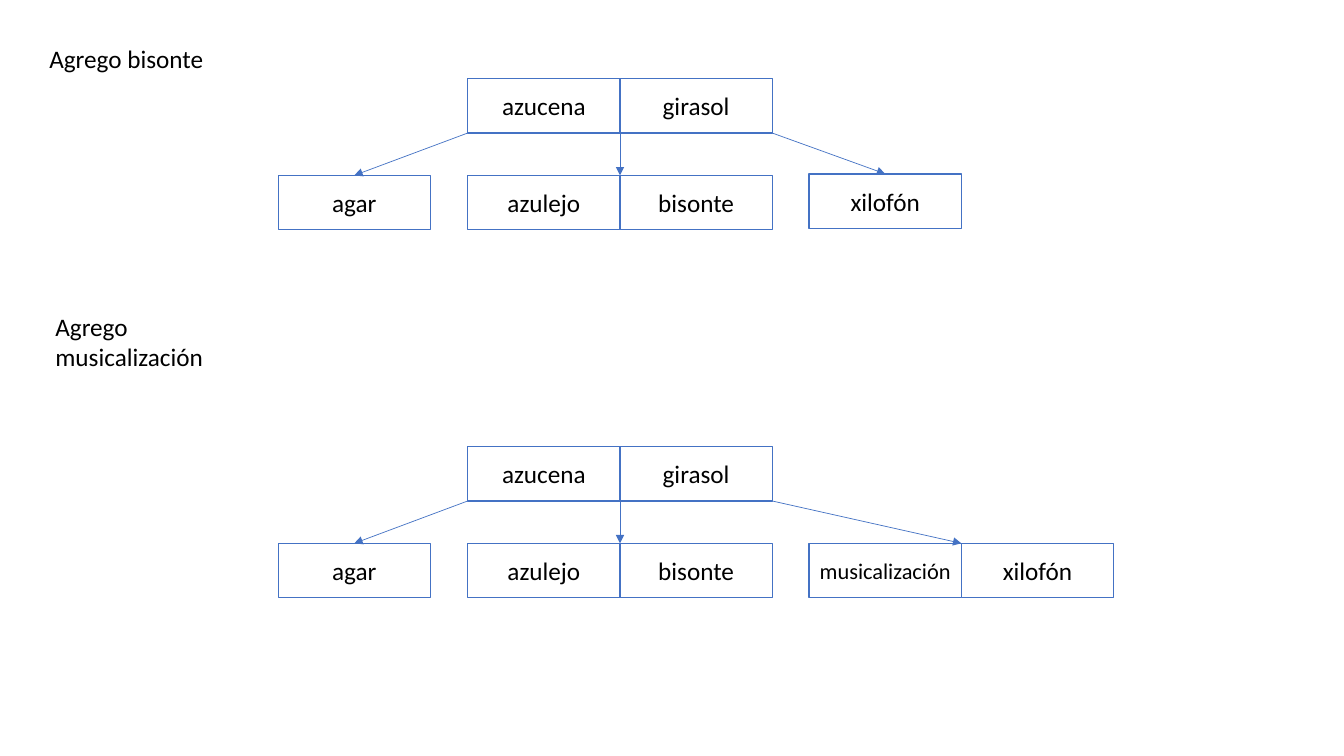
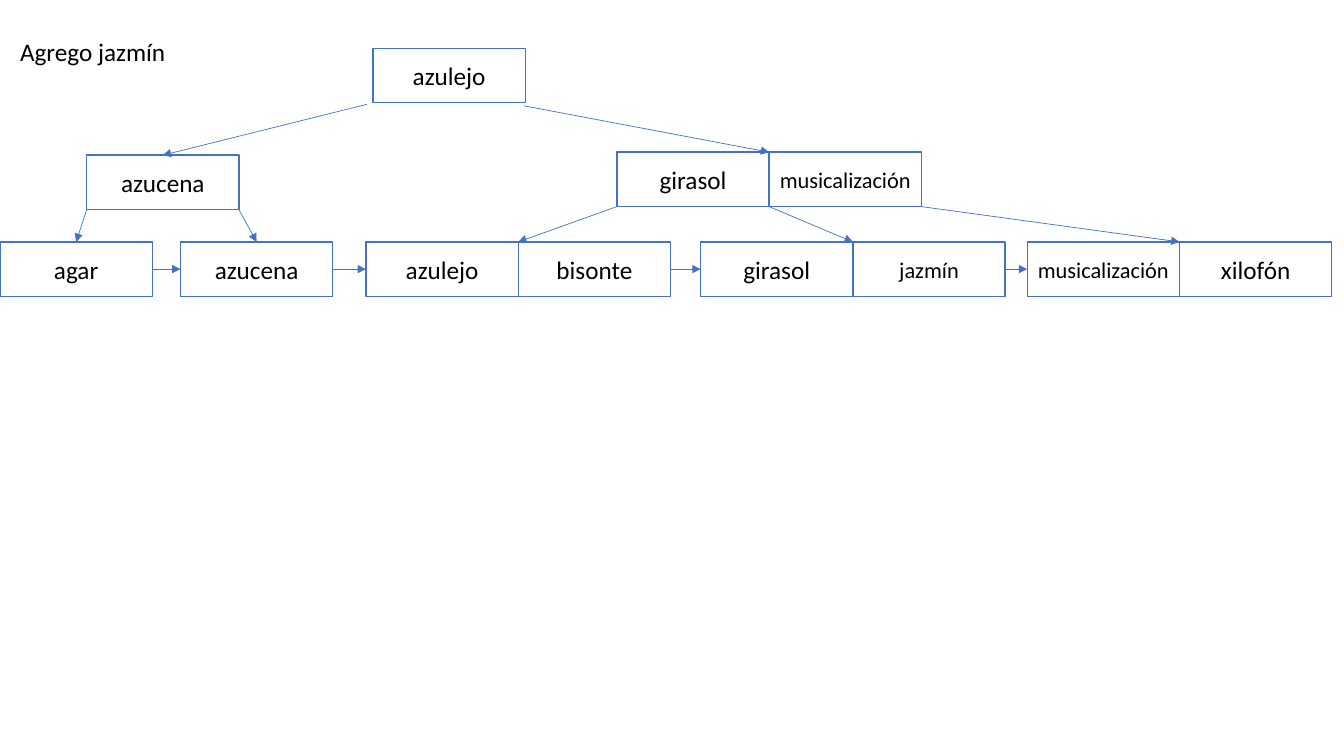
from collections import namedtuple

from lxml.etree import SubElement
from pptx import Presentation
from pptx.dml.color import RGBColor
from pptx.enum.shapes import MSO_CONNECTOR, MSO_SHAPE
from pptx.enum.text import MSO_ANCHOR, MSO_AUTO_SIZE, PP_ALIGN
from pptx.oxml.ns import qn
from pptx.util import Inches, Pt

# Shared style; positions are percentages of the slide's width and height
SLIDE_W, SLIDE_H = Inches(13.333), Inches(7.5)
CELL_W, CELL_H = 11.33, 7.2
COLORS = {"edge": "4472C4", "cell": "FFFFFF", "text": "000000"}
FONT = "Calibri"
KEY_SIZE, SMALL_SIZE = 18, 16
SMALL_KEYS = {"musicalización", "jazmín"}

Node = namedtuple("Node", "x y count")


def across(share):
    return round(SLIDE_W * share / 100)


def down(share):
    return round(SLIDE_H * share / 100)


def color(name):
    return RGBColor.from_string(COLORS[name])


def add_run(p, text, size):
    r = p.add_run()
    r.text = text
    r.font.name = FONT
    r.font.size = Pt(size)
    r.font.color.rgb = color("text")


def add_caption(s, x, y, h, text):
    tb = s.shapes.add_textbox(across(x), down(y), across(17.33), down(h))
    tf = tb.text_frame
    tf.word_wrap = True
    tf.auto_size = MSO_AUTO_SIZE.SHAPE_TO_FIT_TEXT
    add_run(tf.paragraphs[0], text, KEY_SIZE)


def add_node(s, x, y, *keys):
    """Draw one tree node: a row of touching cells, one for each key."""
    for i, key in enumerate(keys):
        sp = s.shapes.add_shape(MSO_SHAPE.RECTANGLE, across(x + i * CELL_W), down(y),
                                across(CELL_W), down(CELL_H))
        sp.shadow.inherit = False
        sp.fill.solid()
        sp.fill.fore_color.rgb = color("cell")
        sp.line.color.rgb = color("edge")
        sp.line.width = Pt(1)
        tf = sp.text_frame
        tf.vertical_anchor = MSO_ANCHOR.MIDDLE
        p = tf.paragraphs[0]
        p.alignment = PP_ALIGN.CENTER
        add_run(p, key, SMALL_SIZE if key in SMALL_KEYS else KEY_SIZE)
    return Node(x, y, len(keys))


def add_arrow(s, start, end):
    cx = s.shapes.add_connector(MSO_CONNECTOR.STRAIGHT, across(start[0]), down(start[1]),
                                across(end[0]), down(end[1]))
    cx.line.color.rgb = color("edge")
    cx.line.width = Pt(0.5)
    SubElement(cx.line._get_or_add_ln(), qn("a:tailEnd"), type="triangle")
    SubElement(cx._element.spPr, qn("a:effectLst"))


def top_middle(node):
    return node.x + node.count * CELL_W / 2, node.y


def link_children(s, parent, children):
    """Point from each cell boundary of the parent to the matching child."""
    for i, child in enumerate(children):
        add_arrow(s, (parent.x + i * CELL_W, parent.y + CELL_H), top_middle(child))


def link_leaves(s, leaves):
    """Chain neighbouring leaves from left to right."""
    for left, right in zip(leaves, leaves[1:]):
        middle = left.y + CELL_H / 2
        add_arrow(s, (left.x + left.count * CELL_W, middle), (right.x, middle))


def add_two_level_tree(s, y, last_keys, last_rise=0):
    leaf_y = y + 12.8
    root = add_node(s, 34.8, y, "azucena", "girasol")
    leaves = [
        add_node(s, 20.7, leaf_y, "agar"),
        add_node(s, 34.8, leaf_y, "azulejo", "bisonte"),
        add_node(s, 60.2, leaf_y - last_rise, *last_keys),
    ]
    link_children(s, root, leaves)


def build_first_insertions(s):
    add_caption(s, 2.93, 5.07, 5.33, "Agrego bisonte")
    add_two_level_tree(s, 10.4, ["xilofón"], last_rise=0.2)
    add_caption(s, 3.38, 40.53, 9.47, "Agrego musicalización")
    add_two_level_tree(s, 59.07, ["musicalización", "xilofón"])


def build_jazmin_insertion(s):
    add_caption(s, 0.75, 4.13, 5.33, "Agrego jazmín")
    # Index levels
    add_node(s, 27.75, 6.4, "azulejo")
    left = add_node(s, 6.45, 20.53, "azucena")
    right = add_node(s, 45.9, 20.13, "girasol", "musicalización")
    # Leaf level
    rows = [
        (0, ["agar"]),
        (13.43, ["azucena"]),
        (27.23, ["azulejo", "bisonte"]),
        (52.13, ["girasol", "jazmín"]),
        (76.43, ["musicalización", "xilofón"]),
    ]
    leaves = [add_node(s, x, 32, *keys) for x, keys in rows]
    # Links; those of the root start slightly below its corners
    add_arrow(s, (27.3, 13.8), top_middle(left))
    add_arrow(s, (39, 14), top_middle(right))
    link_children(s, left, leaves[:2])
    link_children(s, right, leaves[2:])
    link_leaves(s, leaves)


def main():
    prs = Presentation()
    prs.slide_width, prs.slide_height = SLIDE_W, SLIDE_H
    for build in (build_first_insertions, build_jazmin_insertion):
        build(prs.slides.add_slide(prs.slide_layouts[6]))
    prs.save("out.pptx")


main()
